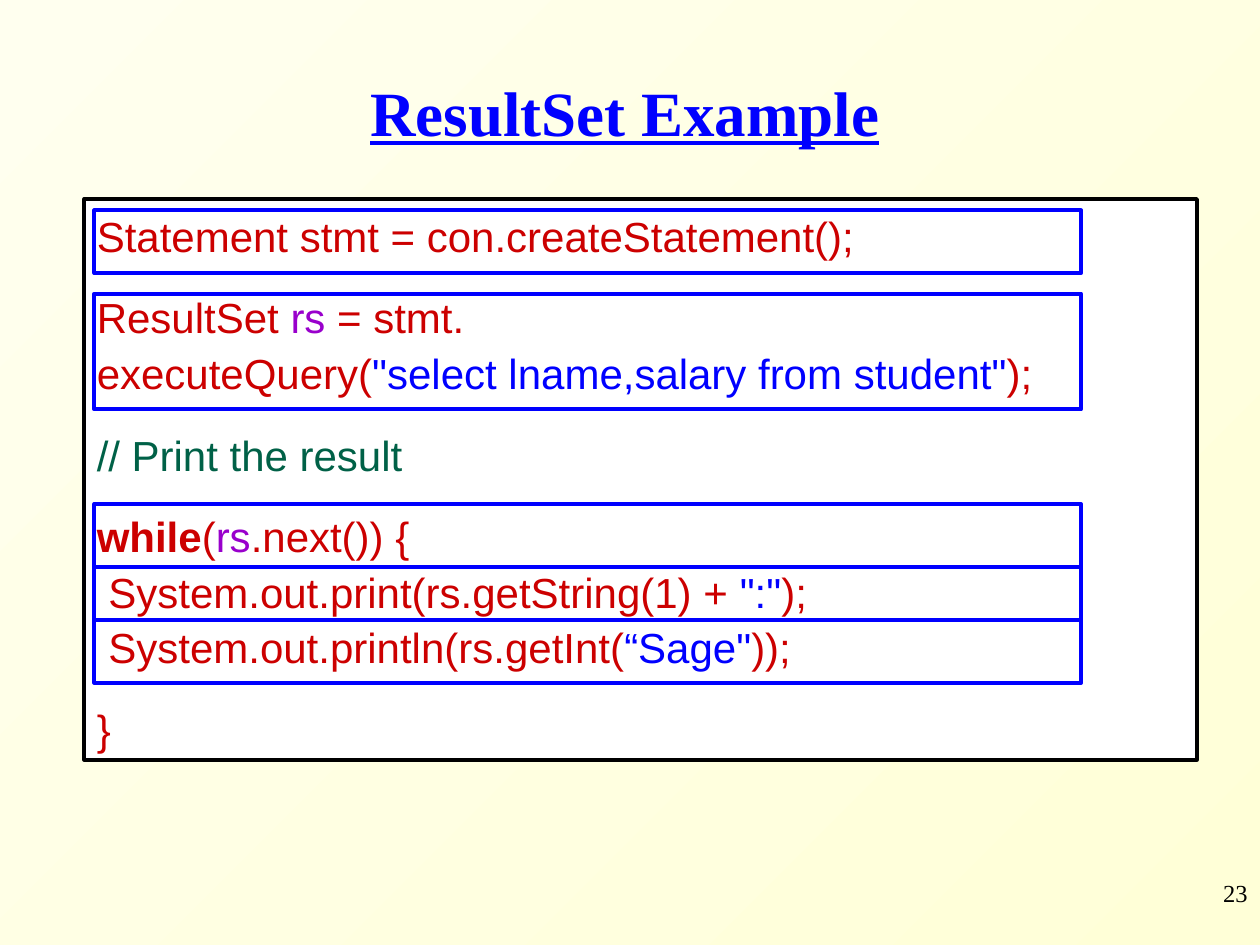
from dataclasses import dataclass
from typing import NamedTuple

from pptx import Presentation
from pptx.dml.color import RGBColor
from pptx.enum.shapes import MSO_SHAPE
from pptx.enum.text import MSO_ANCHOR, PP_ALIGN
from pptx.util import Inches, Pt

RECTANGLE = MSO_SHAPE.RECTANGLE
TOP, MIDDLE = MSO_ANCHOR.TOP, MSO_ANCHOR.MIDDLE
LEFT, CENTER, RIGHT = PP_ALIGN.LEFT, PP_ALIGN.CENTER, PP_ALIGN.RIGHT


@dataclass(frozen=True)
class Theme:
    heading_font: str = "Times New Roman"
    code_font: str = "Arial"
    title_size: int = 36
    code_size: int = 24
    number_size: int = 14
    outline: float = 2.25
    blue: str = "0000FF"
    code: str = "CC0000"
    variable: str = "9900CC"
    comment: str = "006147"
    black: str = "000000"
    white: str = "FFFFFF"
    background: tuple[str, str] = ("FFFFD7", "FFFFEF")


class Box(NamedTuple):
    left: float
    top: float
    width: float
    height: float

    def emu(self) -> list[int]:
        return [Inches(length) for length in self]


class Token(NamedTuple):
    text: str
    color: str
    bold: bool = False


THEME = Theme()
NEW_LINE = Token("\n", THEME.code)

# Each statement is one paragraph of coloured tokens
STATEMENTS = [
    [Token("Statement stmt = con.createStatement();", THEME.code)],
    [
        Token("ResultSet ", THEME.code),
        Token("rs", THEME.variable),
        Token(" = stmt.", THEME.code),
        NEW_LINE,
        Token("executeQuery(", THEME.code),
        Token('"select lname,salary from student"', THEME.blue),
        Token(");", THEME.code),
    ],
    [Token("// Print the result", THEME.comment)],
    [
        Token("while", THEME.code, bold=True),
        Token("(", THEME.code),
        Token("rs", THEME.variable),
        Token(".next()) {", THEME.code),
        NEW_LINE,
        Token(" System.out.print(rs.getString(1) +", THEME.code),
        Token(' ":"', THEME.blue),
        Token(");", THEME.code),
        NEW_LINE,
        Token(" System.out.println(rs.getInt(", THEME.code),
        Token('“Sage"', THEME.blue),
        Token("));", THEME.code),
    ],
    [Token("}", THEME.code)],
]

# Top and height of the frame around each highlighted step
STEP_FRAMES = [(1.67, 0.5), (2.33, 0.92), (4, 0.5), (4.5, 0.42), (4.92, 0.5)]


def style_font(font, name: str, size: int, color: str, bold: bool = False) -> None:
    font.name = name
    font.size = Pt(size)
    font.bold = bold
    font.color.rgb = RGBColor.from_string(color)


def add_rectangle(slide, box: Box, line: str, fill: str | None = None):
    rectangle = slide.shapes.add_shape(RECTANGLE, *box.emu())
    rectangle.shadow.inherit = False
    if fill:
        rectangle.fill.solid()
        rectangle.fill.fore_color.rgb = RGBColor.from_string(fill)
    else:
        rectangle.fill.background()
    rectangle.line.color.rgb = RGBColor.from_string(line)
    rectangle.line.width = Pt(THEME.outline)
    return rectangle


def add_label(slide, box: Box, text: str, align, anchor, size: int, color: str, bold: bool = False):
    frame = slide.shapes.add_textbox(*box.emu()).text_frame
    frame.word_wrap = True
    frame.vertical_anchor = anchor
    frame.text = text
    paragraph = frame.paragraphs[0]
    paragraph.alignment = align
    run = paragraph.runs[0]
    style_font(run.font, THEME.heading_font, size, color, bold)
    return run


def write_statement(paragraph, tokens: list[Token]) -> None:
    paragraph.alignment = LEFT
    paragraph.line_spacing = 1.1
    paragraph.space_before = Pt(15)
    for token in tokens:
        if token is NEW_LINE:
            paragraph.add_line_break()
            continue
        run = paragraph.add_run()
        run.text = token.text
        style_font(run.font, THEME.code_font, THEME.code_size, token.color, token.bold)


def add_code_panel(slide, box: Box) -> None:
    frame = add_rectangle(slide, box, THEME.black, THEME.white).text_frame
    frame.word_wrap = True
    frame.vertical_anchor = TOP
    for index, tokens in enumerate(STATEMENTS):
        paragraph = frame.add_paragraph() if index else frame.paragraphs[0]
        write_statement(paragraph, tokens)


def paint_background(slide) -> None:
    fill = slide.background.fill
    fill.gradient()
    fill.gradient_angle = 135
    for stop, color in zip(fill.gradient_stops, THEME.background):
        stop.color.rgb = RGBColor.from_string(color)


def main() -> None:
    presentation = Presentation()
    presentation.slide_width, presentation.slide_height = Inches(10), Inches(7.5)
    slide = presentation.slides.add_slide(presentation.slide_layouts[6])
    paint_background(slide)

    # Title
    title = add_label(slide, Box(1, 0.42, 7.92, 0.92), "ResultSet Example",
                      CENTER, MIDDLE, THEME.title_size, THEME.blue, bold=True)
    title.font.underline = True

    # Code listing and the frames around its steps
    add_code_panel(slide, Box(0.67, 1.58, 8.83, 4.45))
    for top, height in STEP_FRAMES:
        add_rectangle(slide, Box(0.75, top, 7.83, height), THEME.blue)

    # Page number
    add_label(slide, Box(7.92, 6.92, 2.08, 0.5), "23",
              RIGHT, TOP, THEME.number_size, THEME.black)

    presentation.save("out.pptx")


if __name__ == "__main__":
    main()
